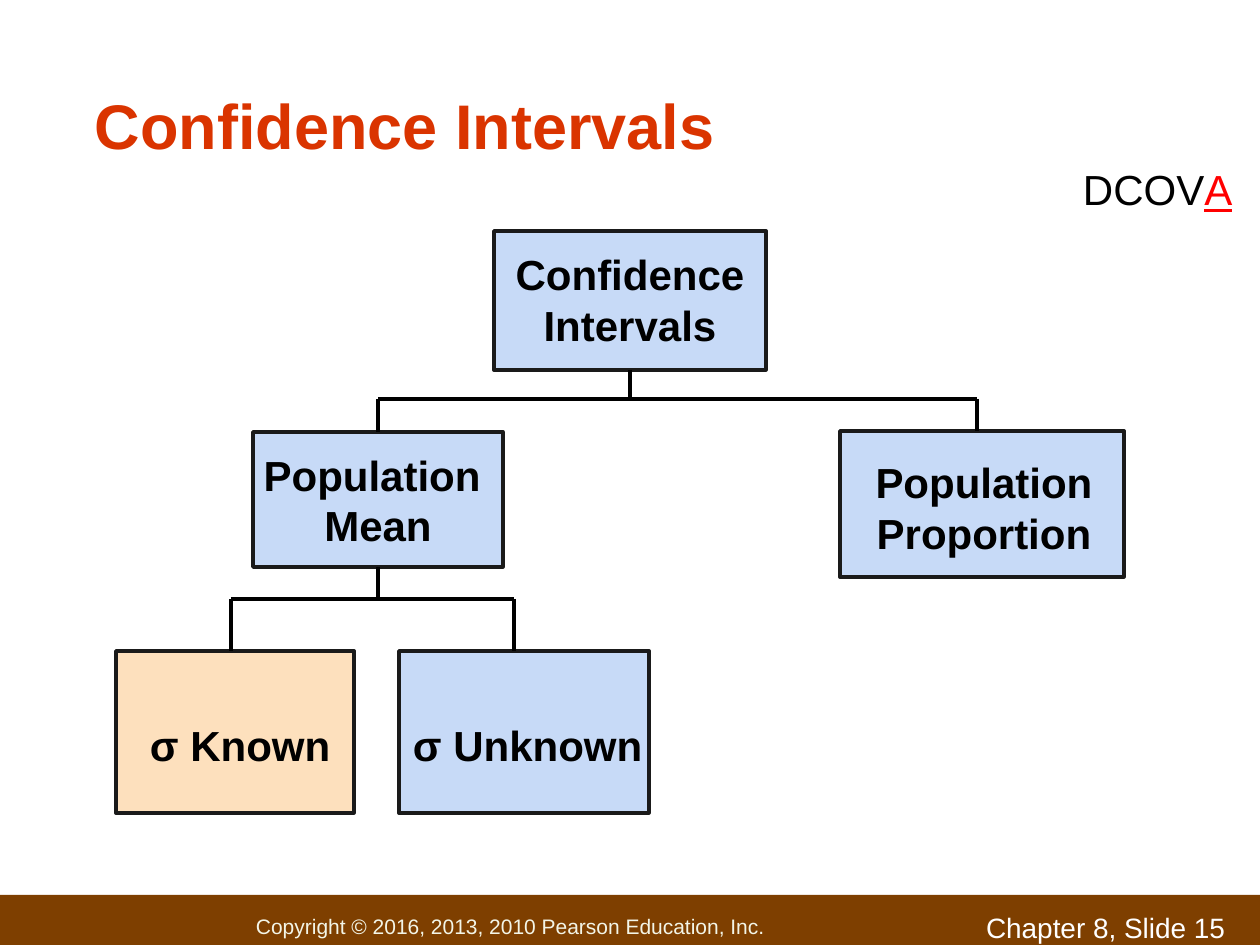
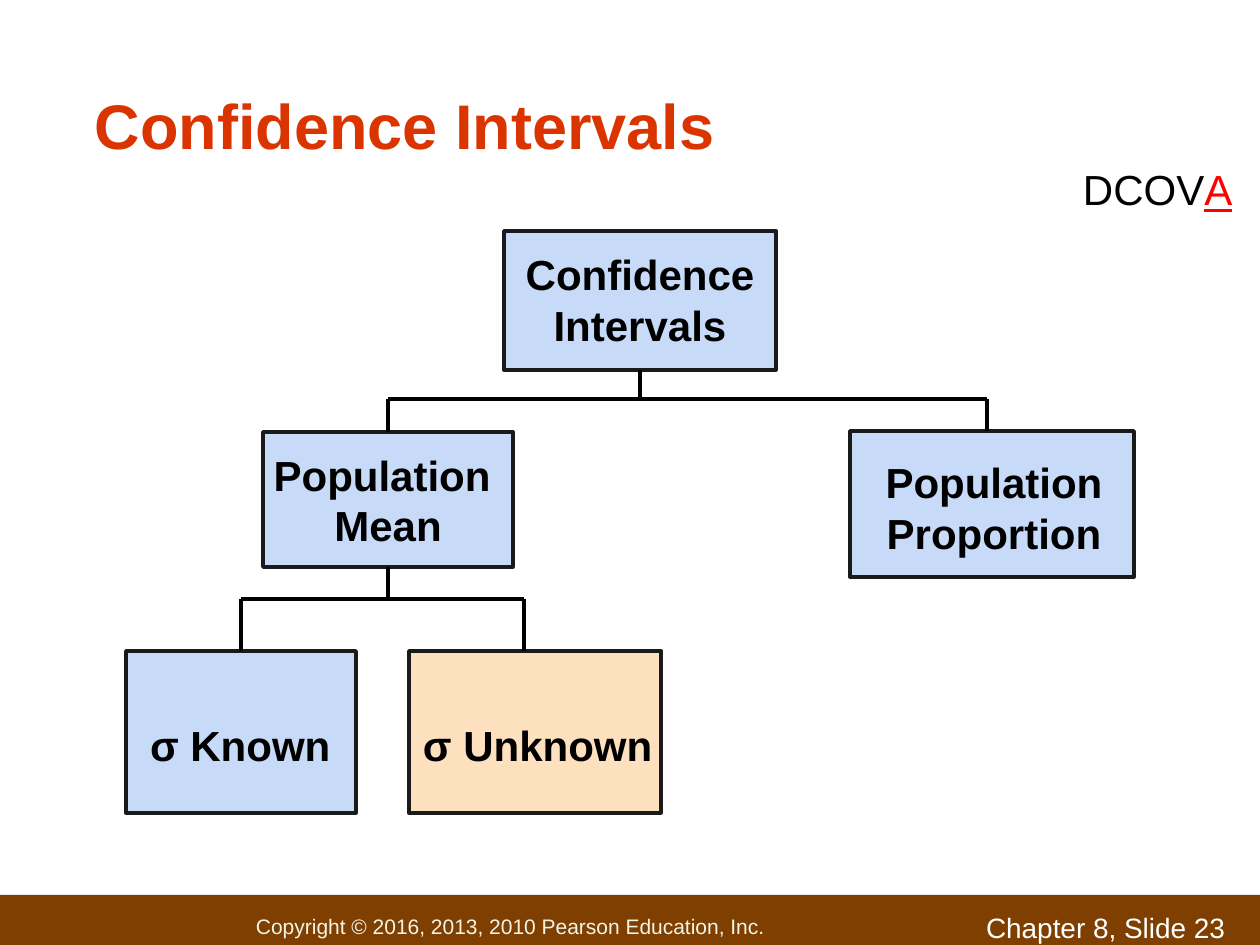
from dataclasses import dataclass

from lxml import etree
from pptx import Presentation
from pptx.dml.color import RGBColor
from pptx.enum.shapes import MSO_CONNECTOR as Connector, MSO_SHAPE as Preset
from pptx.enum.text import MSO_ANCHOR as Anchor, PP_ALIGN as Align
from pptx.oxml.ns import qn
from pptx.util import Emu, Pt

EMU_PER_PX = 914400 / 126
TOP, BOTTOM = 0, 2  # connection sites of a rectangle


@dataclass(frozen=True)
class Theme:
    font: str = "Arial"
    title: str = "DA3400"
    ink: str = "000000"
    accent: str = "FF0000"
    band: str = "7E3F00"
    copyright: str = "F3F5E7"
    page: str = "FFFFFF"
    node: str = "C7DAF7"
    current: str = "FDE0BD"
    outline: str = "1A1A1A"
    title_size: float = 36
    label_size: float = 24
    page_size: float = 16
    copyright_size: float = 12
    label_pitch: float = 28.8
    outline_width: float = 2
    branch_width: float = 2.25


THEME = Theme()


def px(length):
    return Emu(round(length * EMU_PER_PX))


def rgb(value):
    return RGBColor.from_string(value)


# --- text ---
def set_frame(frame, insets, anchor=Anchor.TOP, wrap=True):
    left, top, right, bottom = insets
    settings = {
        "margin_left": px(left), "margin_top": px(top),
        "margin_right": px(right), "margin_bottom": px(bottom),
        "vertical_anchor": anchor, "word_wrap": wrap,
    }
    for name, value in settings.items():
        setattr(frame, name, value)


def add_run(paragraph, text, size, color, **style):
    run = paragraph.add_run()
    run.text = text
    for name, value in {"name": THEME.font, "size": Pt(size), **style}.items():
        setattr(run.font, name, value)
    run.font.color.rgb = rgb(color)


def add_text(slide, box, insets=(12, 6, 12, 6), **frame_style):
    frame = slide.shapes.add_textbox(*map(px, box)).text_frame
    set_frame(frame, insets, **frame_style)
    return frame.paragraphs[0]


# --- shapes ---
def add_rectangle(slide, box, fill, outline=None):
    rectangle = slide.shapes.add_shape(Preset.RECTANGLE, *map(px, box))
    rectangle.shadow.inherit = False
    rectangle.fill.solid()
    rectangle.fill.fore_color.rgb = rgb(fill)
    if outline:
        rectangle.line.color.rgb = rgb(outline)
        rectangle.line.width = Pt(THEME.outline_width)
    else:
        rectangle.line.fill.background()
    return rectangle


def add_node(slide, box, lines, insets, fill=THEME.node, align=Align.CENTER):
    node = add_rectangle(slide, box, fill, THEME.outline)
    frame = node.text_frame
    set_frame(frame, insets, wrap=align == Align.LEFT)
    for index, line in enumerate(lines):
        paragraph = frame.add_paragraph() if index else frame.paragraphs[0]
        paragraph.alignment = align
        paragraph.line_spacing = Pt(THEME.label_pitch)
        add_run(paragraph, line, THEME.label_size, THEME.ink, bold=True)
    return node


def add_branch(slide, start, end, above=None, below=None):
    branch = slide.shapes.add_connector(Connector.STRAIGHT, *map(px, start + end))
    branch.line.color.rgb = rgb(THEME.ink)
    branch.line.width = Pt(THEME.branch_width)
    etree.SubElement(branch._element.spPr, qn("a:effectLst"))
    if above:
        branch.begin_connect(above, BOTTOM)
    if below:
        branch.end_connect(below, TOP)


def add_fork(slide, parent, stem, children):
    """Stem is (x, top, bus height); children are (x, bottom, node to join)."""
    x, top, bus = stem
    add_branch(slide, (x, top), (x, bus), above=parent)
    add_branch(slide, (children[0][0], bus), (children[-1][0], bus))
    for child_x, bottom, child in children:
        add_branch(slide, (child_x, bus), (child_x, bottom), below=child)


# --- shared slide parts ---
def add_frame(slide, number):
    band = add_rectangle(slide, (0, 895, 1260, 62), THEME.band)
    set_frame(band.text_frame, (256, 0, 0, 0), Anchor.MIDDLE)
    notice = band.text_frame.paragraphs[0]
    notice.alignment = Align.LEFT
    add_run(notice, "Copyright © 2016, 2013, 2010 Pearson Education, Inc.",
            THEME.copyright_size, THEME.copyright)

    page = add_text(slide, (974, 905, 294, 33))
    add_run(page, f"Chapter 8, Slide {number}", THEME.page_size, THEME.page)

    title = add_text(slide, (84, 32, 1092, 136), (11, 6, 11, 6), anchor=Anchor.BOTTOM)
    add_run(title, "Confidence Intervals", THEME.title_size, THEME.title, bold=True)

    stage = add_text(slide, (1071, 158, 174, 63), wrap=False)
    stage.line_spacing = Pt(THEME.label_pitch)
    add_run(stage, "DCOV", THEME.label_size, THEME.ink)
    add_run(stage, "A", THEME.label_size, THEME.accent, underline=True)


# --- the tree of interval types ---
def add_tree(slide, shift, known_width, unknown_width, known_is_current):
    known_fill, unknown_fill = THEME.node, THEME.current
    if known_is_current:
        known_fill, unknown_fill = unknown_fill, known_fill
    known_left = 116 + shift
    known_x = 231 + shift

    root = add_node(slide, (494 + shift, 231, 272, 139),
                    ["Confidence", "Intervals"], (0, 18, 0, 0))
    mean = add_node(slide, (253 + shift, 432, 250, 135),
                    ["Population ", "Mean"], (0, 17, 0, 0))
    add_node(slide, (840 + shift, 431, 284, 146),
             ["Population", "Proportion"], (4, 26, 0, 0))
    known = add_node(slide, (known_left, 651, known_width, 162), ["σ Known"],
                     (150 - known_left, 69, 0, 0), known_fill, Align.LEFT)
    add_node(slide, (399 + shift, 651, unknown_width, 162), ["σ Unknown"],
             (14, 69, 0, 0), unknown_fill, Align.LEFT)

    known_is_centred = known_x == known_left + known_width / 2
    add_fork(slide, root, (630 + shift, 370, 399),
             [(378 + shift, 432, mean), (977 + shift, 431, None)])
    add_fork(slide, mean, (378 + shift, 567, 599),
             [(known_x, 651, known if known_is_centred else None),
              (514 + shift, 651, None)])


def main():
    deck = Presentation()
    deck.slide_width, deck.slide_height = px(1260), px(945)
    blank = deck.slide_layouts[6]
    for number, tree in ((15, (0, 238, 250, True)), (23, (10, 230, 252, False))):
        slide = deck.slides.add_slide(blank)
        add_frame(slide, number)
        add_tree(slide, *tree)
    deck.save("out.pptx")


if __name__ == "__main__":
    main()
